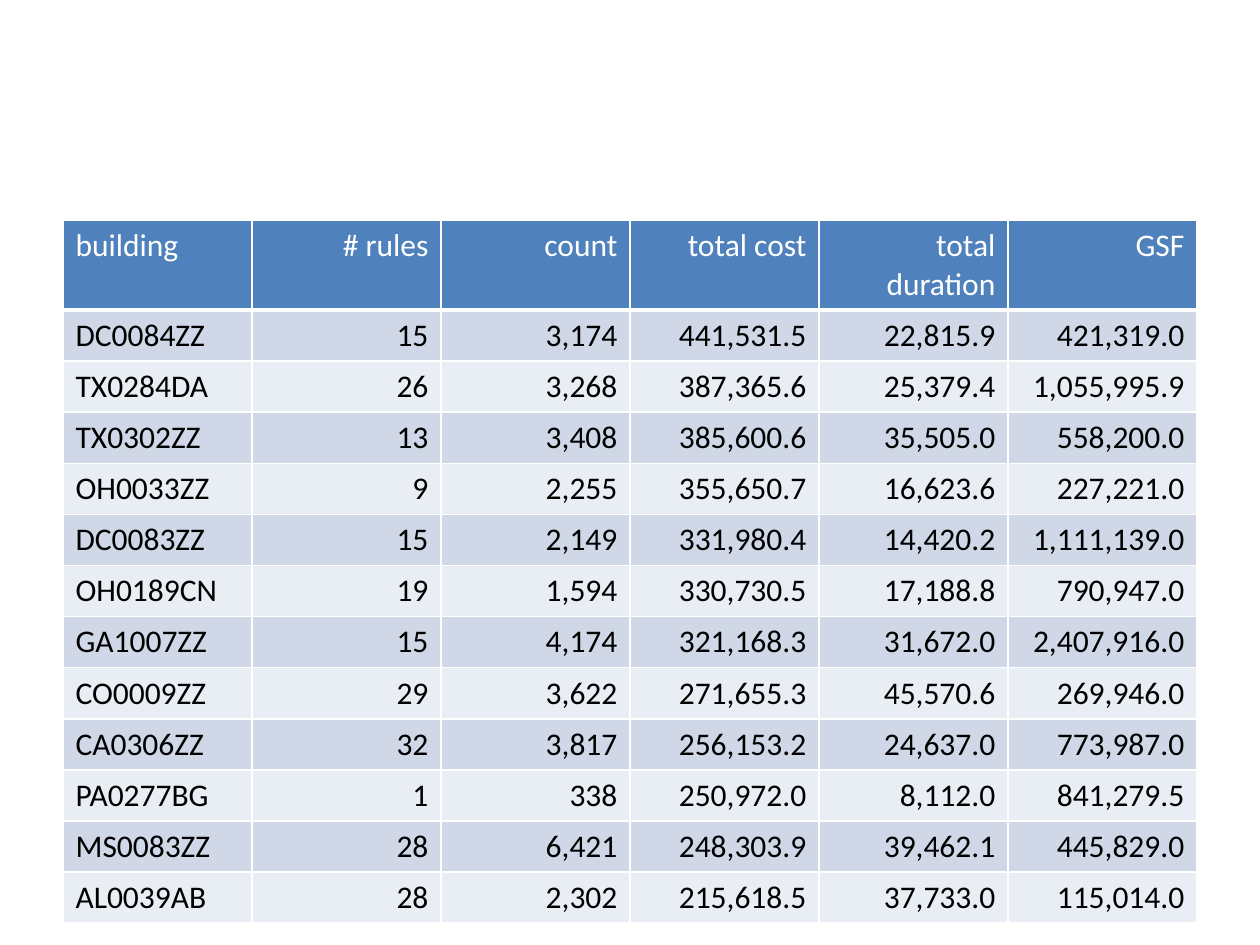
from lxml.etree import SubElement
from pptx import Presentation
from pptx.dml.color import RGBColor as RGB
from pptx.enum.text import PP_ALIGN as Align
from pptx.oxml.ns import qn
from pptx.util import Inches, Pt

WHITE = RGB(0xFF, 0xFF, 0xFF)
BLACK = RGB(0x00, 0x00, 0x00)
BLUE = RGB(0x4F, 0x81, 0xBD)
BANDS = RGB(0xD0, 0xD8, 0xE8), RGB(0xE9, 0xED, 0xF4)

HEAD = ["building", "# rules", "count", "total cost", "total duration", "GSF"]
ROWS = [
    ["DC0084ZZ", "15", "3,174", "441,531.5", "22,815.9", "421,319.0"],
    ["TX0284DA", "26", "3,268", "387,365.6", "25,379.4", "1,055,995.9"],
    ["TX0302ZZ", "13", "3,408", "385,600.6", "35,505.0", "558,200.0"],
    ["OH0033ZZ", "9", "2,255", "355,650.7", "16,623.6", "227,221.0"],
    ["DC0083ZZ", "15", "2,149", "331,980.4", "14,420.2", "1,111,139.0"],
    ["OH0189CN", "19", "1,594", "330,730.5", "17,188.8", "790,947.0"],
    ["GA1007ZZ", "15", "4,174", "321,168.3", "31,672.0", "2,407,916.0"],
    ["CO0009ZZ", "29", "3,622", "271,655.3", "45,570.6", "269,946.0"],
    ["CA0306ZZ", "32", "3,817", "256,153.2", "24,637.0", "773,987.0"],
    ["PA0277BG", "1", "338", "250,972.0", "8,112.0", "841,279.5"],
    ["MS0083ZZ", "28", "6,421", "248,303.9", "39,462.1", "445,829.0"],
    ["AL0039AB", "28", "2,302", "215,618.5", "37,733.0", "115,014.0"],
]


def set_edges(cell, low):
    """Draw white borders, 1 pt wide but for the bottom one."""
    props = cell._tc.get_or_add_tcPr()
    for side, width in ("L", 1), ("R", 1), ("T", 1), ("B", low):
        line = SubElement(props, qn(f"a:ln{side}"), w=str(Pt(width)))
        fill = SubElement(line, qn("a:solidFill"))
        SubElement(fill, qn("a:srgbClr"), val=str(WHITE))


def fill_cell(cell, text, back, color, align, low):
    set_edges(cell, low)
    cell.fill.solid()
    cell.fill.fore_color.rgb = back
    para = cell.text_frame.paragraphs[0]
    para.alignment = align
    run = para.add_run()
    run.text = text
    font = run.font
    font.name, font.size, font.bold = "Calibri", Pt(18), False
    font.color.rgb = color


def add_grid(slide):
    data = [HEAD] + ROWS
    frame = slide.shapes.add_table(len(data), len(HEAD), Inches(0.5),
                                   Inches(1.75), Inches(9), Inches(5.56))
    table = frame.table
    for r, texts in enumerate(data):
        head = r == 0
        table.rows[r].height = Inches(0.7 if head else 0.4)
        back = BLUE if head else BANDS[(r - 1) % 2]
        color = WHITE if head else BLACK
        for c, text in enumerate(texts):
            align = Align.RIGHT if c else Align.LEFT
            fill_cell(table.cell(r, c), text, back, color, align,
                      3 if head else 1)


def main():
    deck = Presentation()
    deck.slide_width, deck.slide_height = Inches(10), Inches(7.5)
    blank = deck.slide_layouts[6]
    add_grid(deck.slides.add_slide(blank))
    deck.save("out.pptx")


if __name__ == "__main__":
    main()
